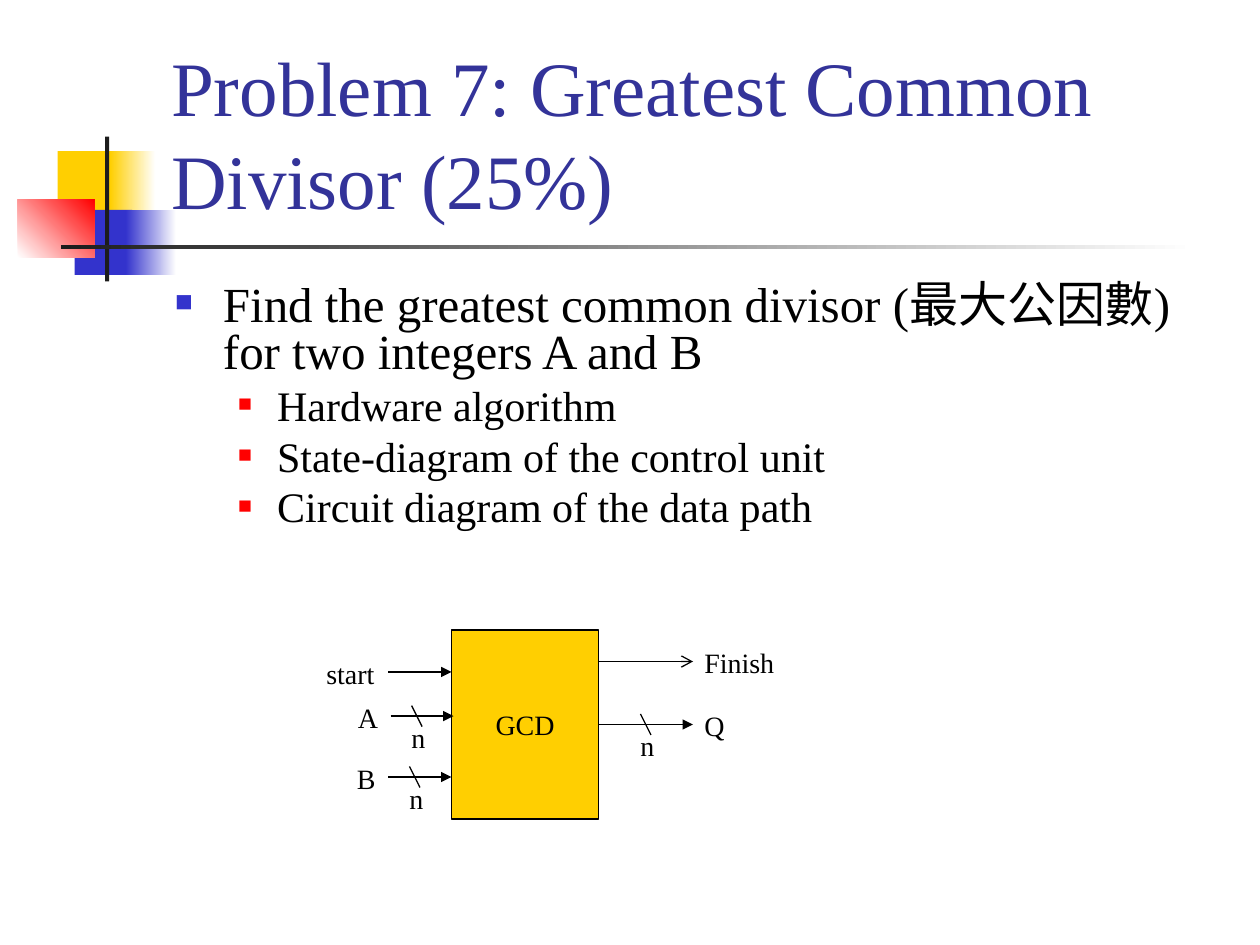
"""Build the slide that sets the greatest common divisor problem."""
from dataclasses import dataclass
from typing import NamedTuple, Optional

from lxml.etree import SubElement
from pptx import Presentation
from pptx.dml.color import RGBColor
from pptx.enum.shapes import MSO_CONNECTOR as Connector, MSO_SHAPE as Shape
from pptx.enum.text import MSO_ANCHOR as Anchor, MSO_AUTO_SIZE as AutoSize, PP_ALIGN as Align
from pptx.oxml.ns import qn
from pptx.util import Emu, Inches, Pt

COLS, ROWS = 120, 90
CELL = Inches(10) / COLS


@dataclass(frozen=True)
class Theme:
    font: str = "Times New Roman"
    title: str = "333399"
    ink: str = "000000"
    white: str = "FFFFFF"
    gold: str = "FFCF01"
    blue: str = "3333CC"
    red: str = "FF0000"
    bar: str = "1C1C1C"
    title_size: int = 44
    topic_size: int = 28
    task_size: int = 24
    label_size: int = 16
    line: float = 0.75


T = Theme()


class Box(NamedTuple):
    col: float
    row: float
    cols: float
    rows: float


class Block(NamedTuple):
    box: Box
    color: str
    fade_to: Optional[str] = None
    angle: int = 0


class Level(NamedTuple):
    size: int
    left: float
    hang: float
    before: int
    bullet: str
    percent: int


class Signal(NamedTuple):
    name: str
    width: float
    start: float
    end: float
    row: float
    slash: Optional[float] = None
    head: str = "triangle"
    is_input: bool = True


BLOCKS = [
    Block(Box(5.5, 14.4, 5.8, 6.2), T.gold),
    Block(Box(10.5, 14.4, 4.3, 6.2), T.gold, T.white),
    Block(Box(7.1, 20, 5.5, 6.2), T.blue),
    Block(Box(12, 20, 4.8, 6.2), T.blue, T.white),
    Block(Box(1.7, 19, 7.3, 5.5), T.white, T.red, 45),
    Block(Box(10, 13, 0.4, 13.8), T.bar),
    Block(Box(5.8, 23.35, 108, 0.4), T.bar, T.white),
]
TOPIC = Level(T.topic_size, 0.38, 0.38, 7, T.blue, 60)
TASK = Level(T.task_size, 0.81, 0.31, 6, T.red, 55)
BODY = [
    (TOPIC, "Find the greatest common divisor (最大公因數) for two integers A and B"),
    (TASK, "Hardware algorithm"),
    (TASK, "State-diagram of the control unit"),
    (TASK, "Circuit diagram of the data path"),
]
SIGNALS = [
    Signal("start", 7.1, 37, 43, 64),
    Signal("B", 4.2, 37, 43, 74, slash=39),
    Signal("Q", 4.4, 57, 66, 69, slash=61, is_input=False),
    Signal("A", 4.3, 37.2, 43.2, 68.2, slash=39.2),
    Signal("Finish", 9.4, 57, 66, 63, head="arrow", is_input=False),
]


def grid(*cells: float) -> list[Emu]:
    return [Emu(round(c * CELL)) for c in cells]


def rgb(color: str) -> RGBColor:
    return RGBColor.from_string(color)


def add_run(p, text: str, size: float, color: str = T.ink) -> None:
    r = p.add_run()
    r.text = text
    r.font.name, r.font.size = T.font, Pt(size)
    r.font.color.rgb = rgb(color)


def add_rect(s, block: Block):
    sp = s.shapes.add_shape(Shape.RECTANGLE, *grid(*block.box))
    sp.shadow.inherit = False
    sp.line.fill.background()
    if block.fade_to:
        sp.fill.gradient()
        sp.fill.gradient_angle = block.angle
        for stop, color in zip(sp.fill.gradient_stops, (block.color, block.fade_to)):
            stop.color.rgb = rgb(color)
    else:
        sp.fill.solid()
        sp.fill.fore_color.rgb = rgb(block.color)
    return sp


def add_line(s, x1: float, y1: float, x2: float, y2: float, head: str = "") -> None:
    cxn = s.shapes.add_connector(Connector.STRAIGHT, *grid(x1, y1, x2, y2))
    cxn.line.color.rgb, cxn.line.width = rgb(T.ink), Pt(T.line)
    if head:
        SubElement(cxn.line._get_or_add_ln(), qn("a:tailEnd"), type=head)
    SubElement(cxn._element.spPr, qn("a:effectLst"))


def add_label(s, text: str, col: float, row: float, width: float) -> None:
    tf = s.shapes.add_textbox(*grid(col, row, width, 4.4)).text_frame
    tf.word_wrap, tf.auto_size = False, AutoSize.SHAPE_TO_FIT_TEXT
    add_run(tf.paragraphs[0], text, T.label_size)


def add_signal(s, sig: Signal) -> None:
    add_line(s, sig.start, sig.row, sig.end, sig.row, sig.head)
    if sig.slash is not None:
        add_line(s, sig.slash, sig.row - 1, sig.slash + 1, sig.row + 1)
        add_label(s, "n", sig.slash - 1.2, sig.row - 0.2, 3.7)
    col = sig.start - sig.width if sig.is_input else sig.end - 0.1
    add_label(s, sig.name, col, sig.row - 2.1, sig.width)


def add_bullet(p, level: Level, text: str) -> None:
    p.level = int(level is TASK)
    p.line_spacing, p.space_before = 0.8, Pt(level.before)
    pPr = p._p.get_or_add_pPr()
    pPr.set("marL", str(Inches(level.left)))
    pPr.set("indent", str(-Inches(level.hang)))
    SubElement(SubElement(pPr, qn("a:buClr")), qn("a:srgbClr"), val=level.bullet)
    SubElement(pPr, qn("a:buSzPct"), val=str(level.percent * 1000))
    SubElement(pPr, qn("a:buFont"), typeface=T.font)
    SubElement(pPr, qn("a:buChar"), char="■")
    add_run(p, text, level.size)


def add_title(s, text: str, box: Box) -> None:
    sp = s.shapes.title
    sp.left, sp.top, sp.width, sp.height = grid(*box)
    tf = sp.text_frame
    tf.word_wrap, tf.auto_size = True, AutoSize.NONE
    tf.vertical_anchor = Anchor.BOTTOM
    p = tf.paragraphs[0]
    p.alignment = Align.LEFT
    add_run(p, text, T.title_size, T.title)


def add_body(s, box: Box) -> None:
    tf = s.shapes.add_textbox(*grid(*box)).text_frame
    tf.word_wrap = True
    for i, (level, text) in enumerate(BODY):
        add_bullet(tf.add_paragraph() if i else tf.paragraphs[0], level, text)


def add_unit(s, text: str, box: Box) -> None:
    sp = add_rect(s, Block(box, T.gold))
    sp.line.color.rgb, sp.line.width = rgb(T.ink), Pt(T.line)
    tf = sp.text_frame
    tf.word_wrap, tf.vertical_anchor = False, Anchor.MIDDLE
    p = tf.paragraphs[0]
    p.alignment = Align.CENTER
    add_run(p, text, T.label_size)


def main() -> None:
    prs = Presentation()
    prs.slide_width, prs.slide_height = grid(COLS, ROWS)
    s = prs.slides.add_slide(prs.slide_layouts[5])
    for block in BLOCKS:
        add_rect(s, block)
    add_title(s, "Problem 7: Greatest Common Divisor (25%)", Box(15.1, 2.8, 102.2, 19.2))
    s.shapes._spTree.append(s.shapes.title._element)
    add_body(s, Box(15.5, 26.5, 102, 29.5))
    add_unit(s, "GCD", Box(43, 60, 14, 18))
    for sig in SIGNALS:
        add_signal(s, sig)
    prs.save("out.pptx")


if __name__ == "__main__":
    main()
